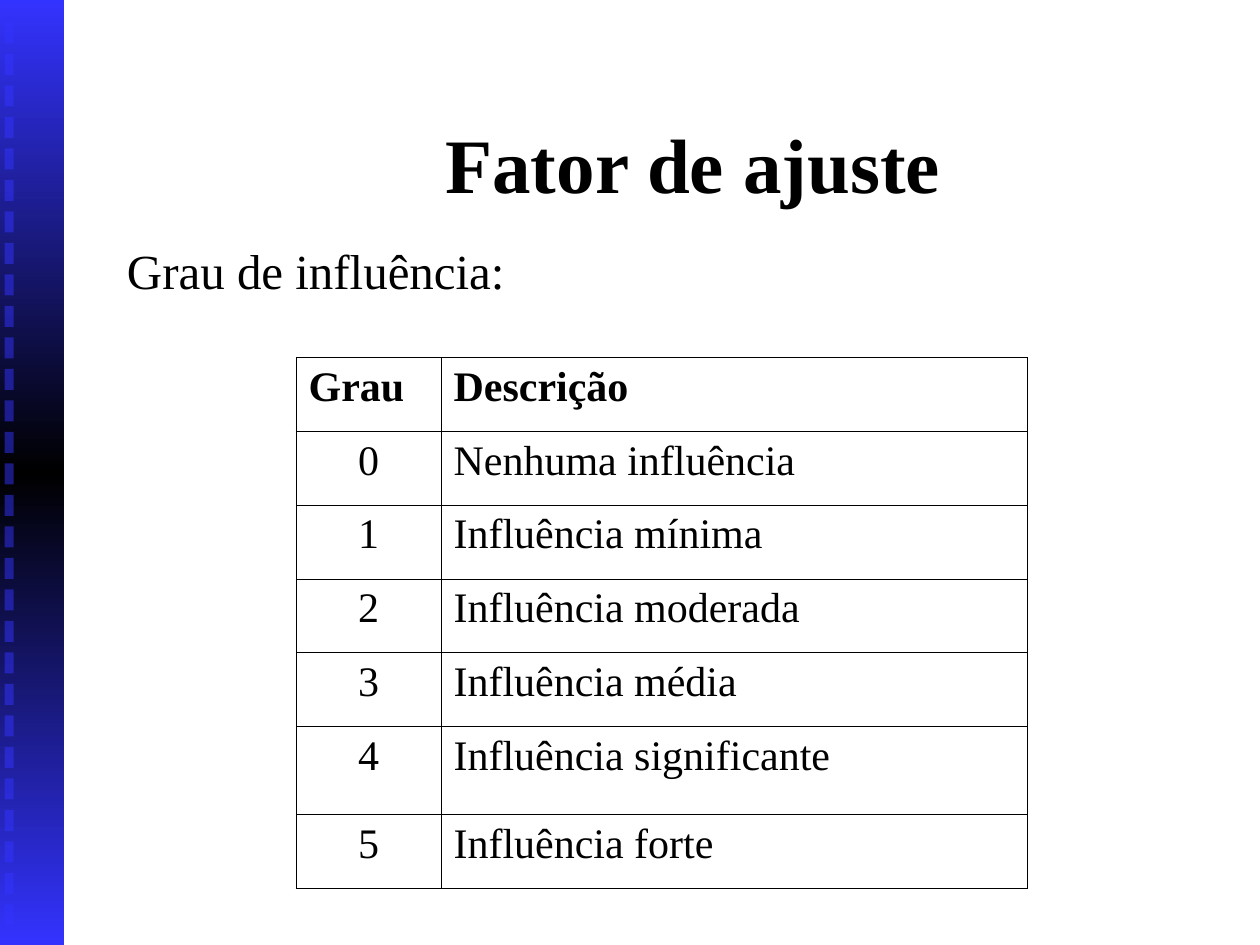
from dataclasses import dataclass

from lxml import etree
from pptx import Presentation
from pptx.dml.color import RGBColor
from pptx.enum.shapes import MSO_SHAPE
from pptx.enum.text import MSO_ANCHOR, MSO_AUTO_SIZE, PP_ALIGN
from pptx.oxml.ns import qn
from pptx.util import Pt

RECTANGLE = MSO_SHAPE.RECTANGLE
LEFT, CENTER = PP_ALIGN.LEFT, PP_ALIGN.CENTER
MIDDLE = MSO_ANCHOR.MIDDLE
FIT_SHAPE = MSO_AUTO_SIZE.SHAPE_TO_FIT_TEXT


@dataclass(frozen=True)
class Theme:
    font: str = "Times New Roman"
    text: str = "000000"
    blue: str = "3333FF"
    dark: str = "000000"
    title_size: int = 44
    label_size: int = 28
    table_size: int = 24
    border: float = 0.45


THEME = Theme()
SLIDE_WIDTH, SLIDE_HEIGHT = 720, 540
COLUMNS = [82.8, 334.8]
ROWS = [42.2] * 5 + [50.4, 42.2]
HANGING = 27
DEGREES = [
    ("Grau", "Descrição"),
    ("0", "Nenhuma influência"),
    ("1", "Influência mínima"),
    ("2", "Influência moderada"),
    ("3", "Influência média"),
    ("4", "Influência significante"),
    ("5", "Influência forte"),
]


def write_text(frame, text, *, size, bold=False, align=LEFT, hanging=0):
    paragraph = frame.paragraphs[0]
    paragraph.alignment = align
    if hanging:
        properties = paragraph._p.get_or_add_pPr()
        properties.set("marL", str(Pt(hanging)))
        properties.set("indent", str(-Pt(hanging)))
    run = paragraph.add_run()
    run.text = text
    run.font.name = THEME.font
    run.font.size = Pt(size)
    run.font.bold = bold
    run.font.color.rgb = RGBColor.from_string(THEME.text)


def set_insets(holder):
    holder.margin_left = holder.margin_right = Pt(7.2)
    holder.margin_top = holder.margin_bottom = Pt(3.6)


def add_rectangle(shapes, left, top, width, height):
    shape = shapes.add_shape(RECTANGLE, Pt(left), Pt(top), Pt(width), Pt(height))
    shape.shadow.inherit = False
    shape.line.fill.background()
    return shape


def fill_gradient(shape, stops):
    shape.fill.gradient()
    shape.fill.gradient_angle = 90
    stop_list = shape._element.spPr.find(".//" + qn("a:gsLst"))
    for stop in list(stop_list):
        stop_list.remove(stop)
    for percent, color in stops:
        stop = etree.SubElement(stop_list, qn("a:gs"), pos=str(percent * 1000))
        etree.SubElement(stop, qn("a:srgbClr"), val=color)


def fill_transparent(shape, color, percent):
    shape.fill.solid()
    shape.fill.fore_color.rgb = RGBColor.from_string(color)
    color_element = shape._element.spPr.find(".//" + qn("a:srgbClr"))
    etree.SubElement(color_element, qn("a:alpha"), val=str(percent * 1000))


def add_side_band(slide):
    group = slide.shapes.add_group_shape()
    band = add_rectangle(group.shapes, 0, 0, 36.7, SLIDE_HEIGHT)
    fill_gradient(band, [(0, THEME.blue), (50, THEME.dark), (100, THEME.blue)])
    for index in range(29):
        dash = add_rectangle(group.shapes, 2.6, 12.75 + 18 * index, 5.2, 12)
        fill_transparent(dash, THEME.blue, 50)


def add_title(slide, text):
    title = slide.shapes.title
    title.left, title.top, title.width, title.height = Pt(90), Pt(48), Pt(612), Pt(90)
    frame = title.text_frame
    frame.vertical_anchor = MIDDLE
    set_insets(frame)
    write_text(frame, text, size=THEME.title_size, bold=True, align=CENTER)


def set_borders(cell):
    properties = cell._tc.get_or_add_tcPr()
    for position, side in enumerate(("lnL", "lnR", "lnT", "lnB")):
        line = etree.Element(qn("a:" + side), w=str(Pt(THEME.border)))
        fill = etree.SubElement(line, qn("a:solidFill"))
        etree.SubElement(fill, qn("a:srgbClr"), val=THEME.text)
        properties.insert(position, line)


def add_degree_table(slide):
    table = slide.shapes.add_table(
        len(ROWS), len(COLUMNS), Pt(169.2), Pt(204.3), Pt(sum(COLUMNS)), Pt(sum(ROWS))
    ).table
    table.horz_banding = False
    table.first_row = False
    for column, width in zip(table.columns, COLUMNS):
        column.width = Pt(width)
    for row_index, (row, values) in enumerate(zip(table.rows, DEGREES)):
        row.height = Pt(ROWS[row_index])
        header = row_index == 0
        for column_index, value in enumerate(values):
            cell = row.cells[column_index]
            cell.fill.background()
            set_insets(cell)
            set_borders(cell)
            align = CENTER if column_index == 0 and not header else LEFT
            write_text(cell.text_frame, value, size=THEME.table_size,
                       bold=header, align=align, hanging=HANGING)


def add_label(slide, text):
    label = slide.shapes.add_textbox(Pt(65.5), Pt(133.9), Pt(230.4), Pt(41))
    frame = label.text_frame
    frame.word_wrap = False
    frame.auto_size = FIT_SHAPE
    set_insets(frame)
    write_text(frame, text, size=THEME.label_size)


def main():
    presentation = Presentation()
    presentation.slide_width = Pt(SLIDE_WIDTH)
    presentation.slide_height = Pt(SLIDE_HEIGHT)
    slide = presentation.slides.add_slide(presentation.slide_layouts[5])

    # Decorative band on the left edge
    add_side_band(slide)

    # Heading, table of degrees and its label
    add_title(slide, "Fator de ajuste")
    add_degree_table(slide)
    add_label(slide, "Grau de influência:")

    presentation.save("out.pptx")


if __name__ == "__main__":
    main()
